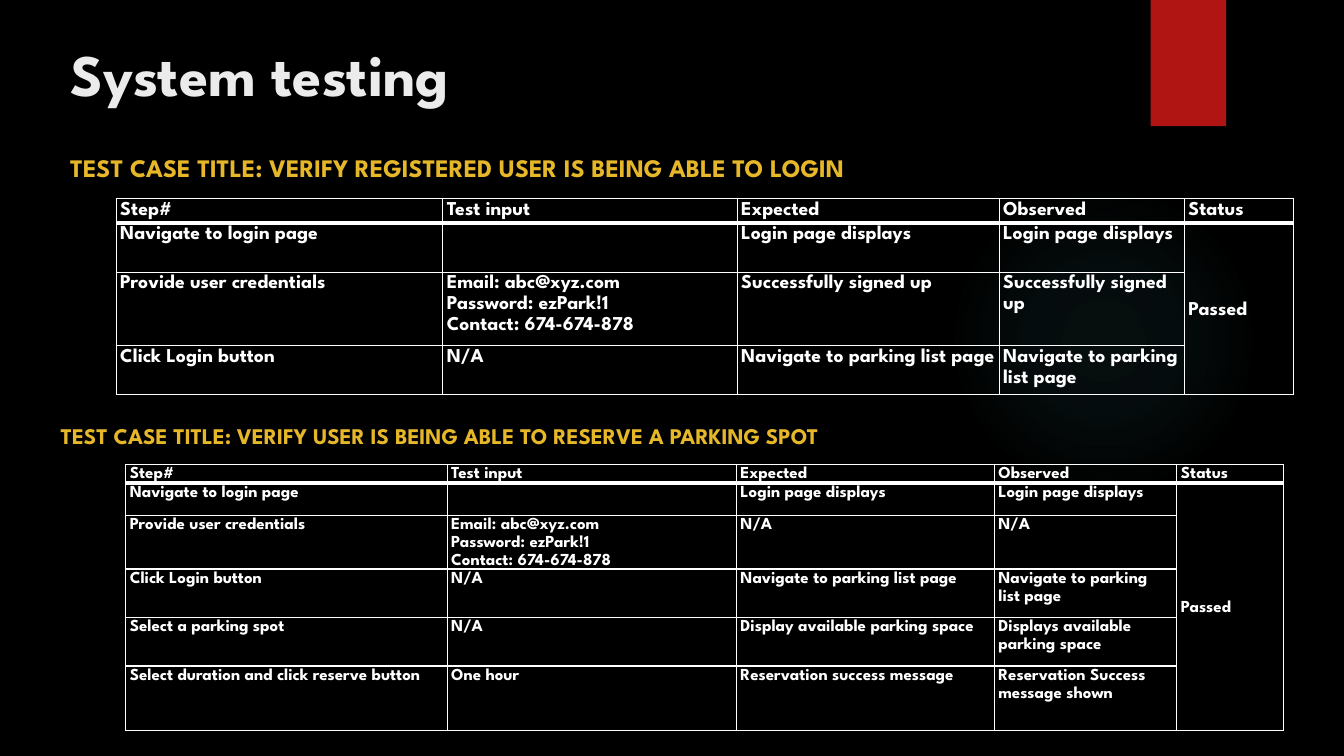
"""Build the system testing slide with its two test case tables."""
from lxml.etree import SubElement
from pptx import Presentation
from pptx.dml.color import RGBColor
from pptx.enum.shapes import MSO_SHAPE
from pptx.enum.text import MSO_ANCHOR
from pptx.oxml import parse_xml
from pptx.oxml.ns import nsdecls, qn
from pptx.util import Cm, Pt

BLACK = RGBColor(0x00, 0x00, 0x00)
WHITE = RGBColor(0xFF, 0xFF, 0xFF)
PALE = RGBColor(0xEB, 0xEB, 0xEB)
GOLD = RGBColor(0xE6, 0xB7, 0x29)
RED = RGBColor(0xB0, 0x15, 0x13)
GLOW = RGBColor(0x50, 0xB9, 0xC1)


def write(frame, text, size, color, spacing):
    """Fill a text frame with one paragraph per line of text."""
    for index, line in enumerate(text.split("\n")):
        para = frame.paragraphs[0] if index == 0 else frame.add_paragraph()
        para.line_spacing = spacing
        span = para.add_run()
        span.text = line
        span.font.color.rgb = color
        for name, value in {"name": "League Spartan", "size": Pt(size), "bold": True}.items():
            setattr(span.font, name, value)


def draw_borders(cell, widths):
    """Draw white cell borders from a dict of side and width in points."""
    properties = cell._tc.get_or_add_tcPr()
    for side, width in widths.items():
        line = SubElement(properties, qn(f"a:ln{side}"), w=str(Pt(width)))
        fill = SubElement(line, qn("a:solidFill"))
        SubElement(fill, qn("a:srgbClr"), val=str(WHITE))


deck = Presentation()
deck.slide_width, deck.slide_height = Cm(33.87), Cm(19.05)
page = deck.slides.add_slide(deck.slide_layouts[6])
page.background.fill.solid()
page.background.fill.fore_color.rgb = BLACK

glow = page.shapes.add_shape(MSO_SHAPE.OVAL, Cm(23.9), Cm(4.65), Cm(7.82), Cm(7.82))
glow.shadow.inherit = False
glow.line.fill.background()
stops = "".join(
    f'<a:gs pos="{place * 1000}"><a:srgbClr val="{GLOW}"><a:alpha val="{alpha * 1000}"/></a:srgbClr></a:gs>'
    for place, alpha in [(0, 7), (36, 6), (69, 0)]
)
glow_fill = parse_xml(
    f'<a:gradFill {nsdecls("a")}><a:gsLst>{stops}</a:gsLst><a:path path="circle">'
    '<a:fillToRect l="50000" t="50000" r="50000" b="50000"/></a:path></a:gradFill>'
)
glow._element.spPr.find(qn("a:prstGeom")).addnext(glow_fill)

ribbon = page.shapes.add_shape(MSO_SHAPE.RECTANGLE, Cm(29), Cm(0), Cm(1.9), Cm(3.18))
ribbon.shadow.inherit = False
ribbon.fill.solid()
ribbon.fill.fore_color.rgb = RED
ribbon.line.fill.background()
ribbon._element.spPr.find(qn("a:effectLst")).append(parse_xml(
    f'<a:outerShdw {nsdecls("a")} blurRad="{Pt(3)}" dist="{Pt(2)}" dir="5400000">'
    f'<a:srgbClr val="{BLACK}"><a:alpha val="45000"/></a:srgbClr></a:outerShdw>'
))

headings = [
    ("System testing", 1.52, 0.81, 26.14, 2.41, 42, PALE, 1, MSO_ANCHOR.MIDDLE, 0.49),
    ("TEST CASE TITLE: VERIFY REGISTERED USER IS BEING ABLE TO LOGIN",
     1.52, 3.61, 26.62, 1.96, 18, GOLD, 1.15, MSO_ANCHOR.TOP, 0.13),
    ("TEST CASE TITLE: VERIFY USER IS BEING ABLE TO RESERVE A PARKING SPOT",
     1.28, 10.41, 22.89, 0.97, 16, GOLD, 1.15, MSO_ANCHOR.TOP, 0.13),
]
for text, left, top, width, height, size, color, spacing, anchor, bottom in headings:
    box = page.shapes.add_textbox(Cm(left), Cm(top), Cm(width), Cm(height))
    frame_format = {"word_wrap": True, "vertical_anchor": anchor, "margin_bottom": Cm(bottom)}
    for name, value in frame_format.items():
        setattr(box.text_frame, name, value)
    write(box.text_frame, text, size, color, spacing)

header = ["Step#", "Test input", "Expected", "Observed", "Status"]
open_login = ["Navigate to login page", "", "Login page displays", "Login page displays", "Passed"]
credentials = ["Provide user credentials", "Email: abc@xyz.com\nPassword: ezPark!1\nContact: 674-674-878"]
click_login = ["Click Login button", "N/A", "Navigate to parking list page", "Navigate to parking list page"]
login_case = [
    header,
    open_login,
    credentials + ["Successfully signed up", "Successfully signed up"],
    click_login,
]
reserve_case = [
    header,
    open_login,
    credentials + ["N/A", "N/A"],
    click_login,
    ["Select a parking spot", "N/A", "Display available parking space", "Displays available parking space"],
    ["Select duration and click reserve button", "One hour", "Reservation success message",
     "Reservation Success message shown"],
]
test_cases = [
    (login_case, 2.93, 5.0, 14, 15, [8.23, 7.42, 6.6, 4.67, 2.74], [0.62, 1.24, 1.85, 1.24]),
    (reserve_case, 3.17, 11.71, 12, 12.8, [8.1, 7.29, 6.5, 4.6, 2.69], [0.46, 0.81, 1.36, 1.22, 1.22, 1.63]),
]
cell_format = {"margin_left": Cm(0.1), "margin_right": Cm(0.1), "margin_top": 0, "margin_bottom": 0}
for steps, left, top, size, line_height, widths, heights in test_cases:
    table = page.shapes.add_table(
        len(steps), len(header), Cm(left), Cm(top), Cm(sum(widths)), Cm(sum(heights))
    ).table
    table.first_row = table.horz_banding = False
    for column, width in zip(table.columns, widths):
        column.width = Cm(width)
    for row, height in zip(table.rows, heights):
        row.height = Cm(height)
    table.cell(1, 4).merge(table.cell(len(steps) - 1, 4))
    for row_index, row in enumerate(table.rows):
        for cell in row.cells:
            for name, value in cell_format.items():
                setattr(cell, name, value)
            draw_borders(cell, {"L": 1, "R": 1, "T": 3 if row_index == 1 else 1, "B": 3 if row_index == 0 else 1})
            cell.fill.background()
        for cell, text in zip(row.cells, steps[row_index]):
            if text:
                write(cell.text_frame, text, size, WHITE, Pt(line_height))
    table.cell(1, 4).vertical_anchor = MSO_ANCHOR.MIDDLE

deck.save("out.pptx")
